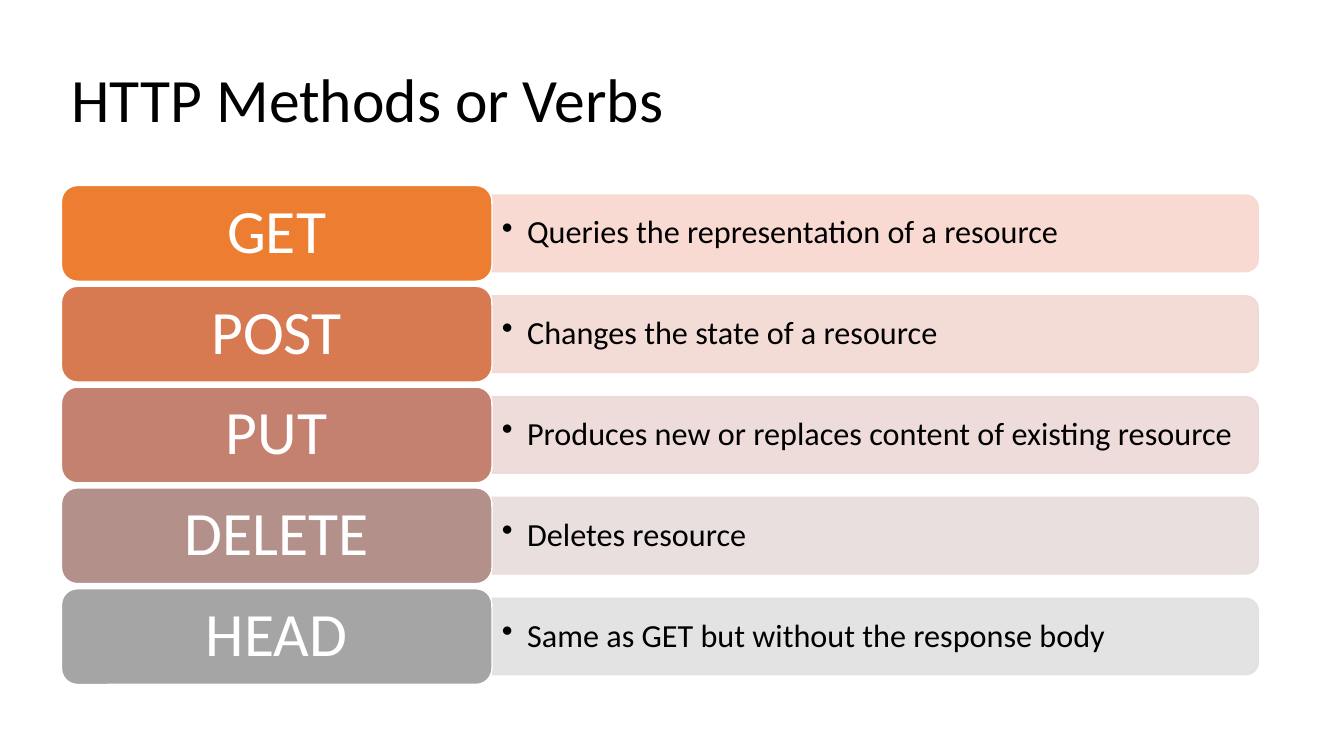
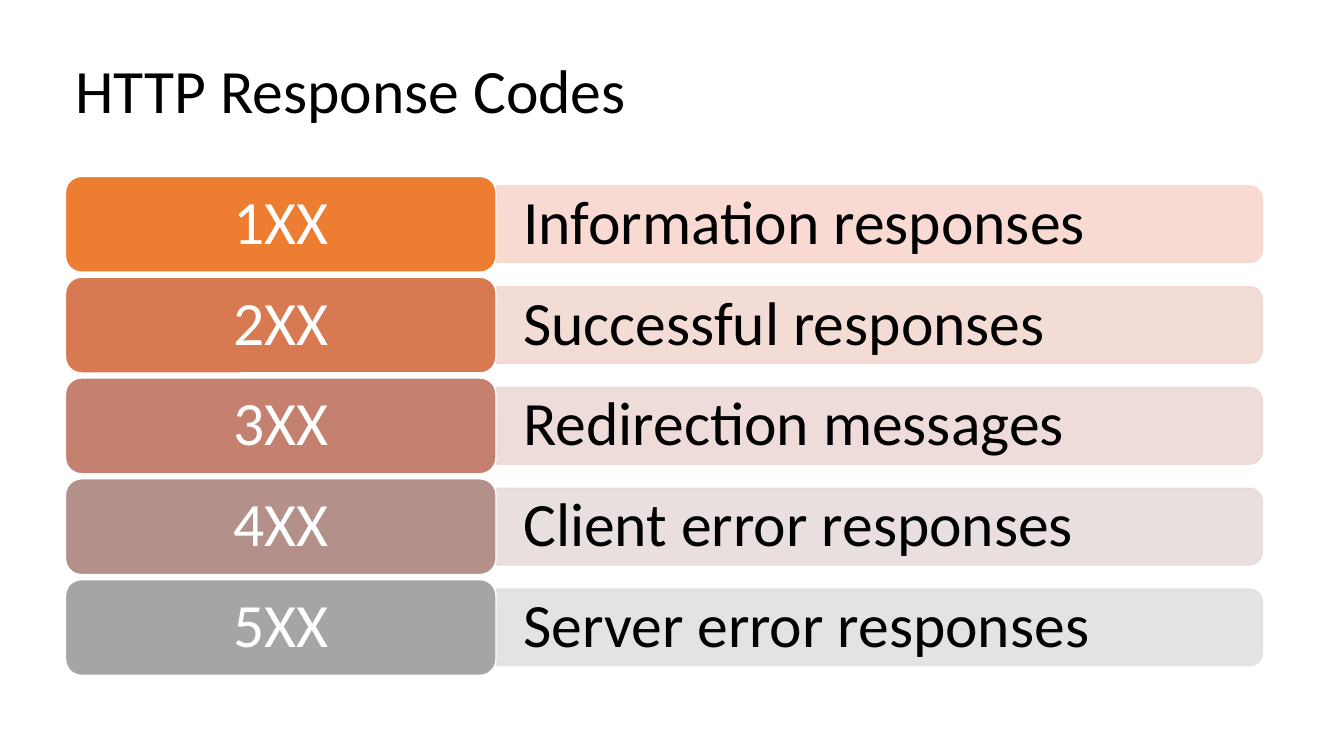
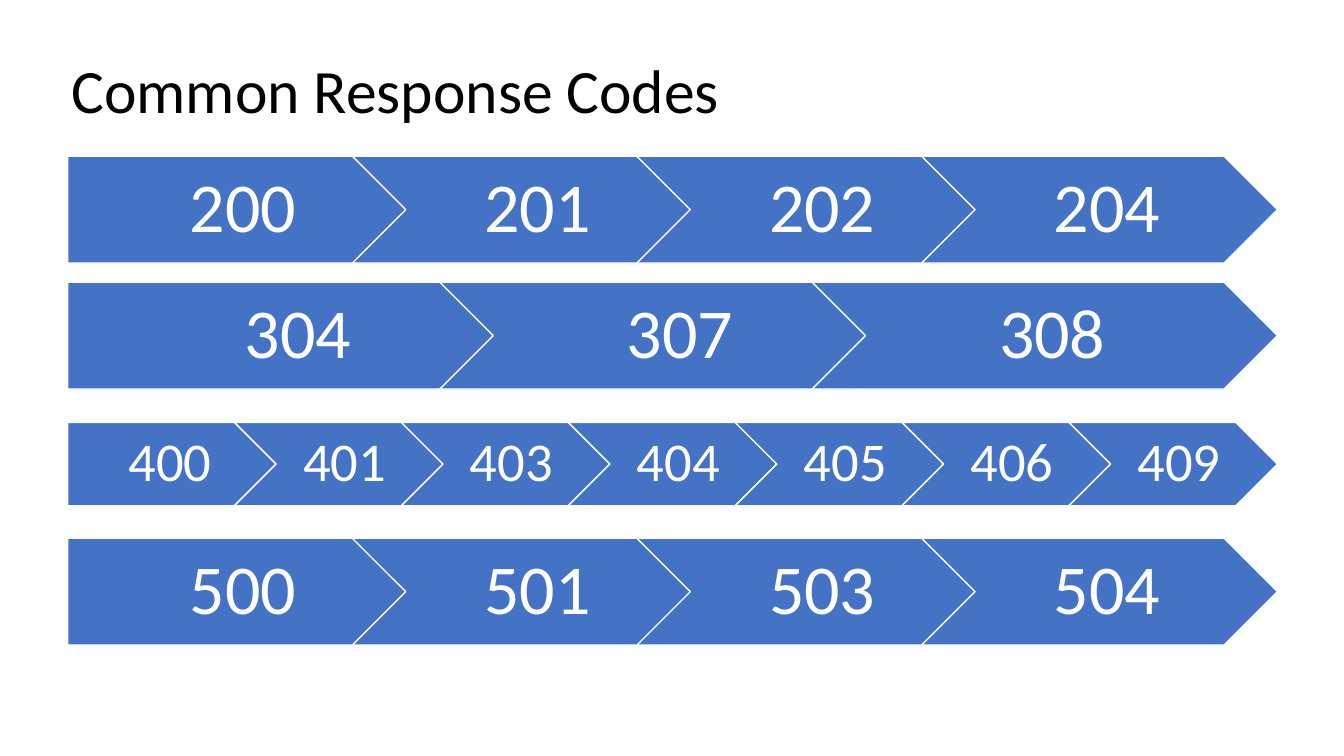
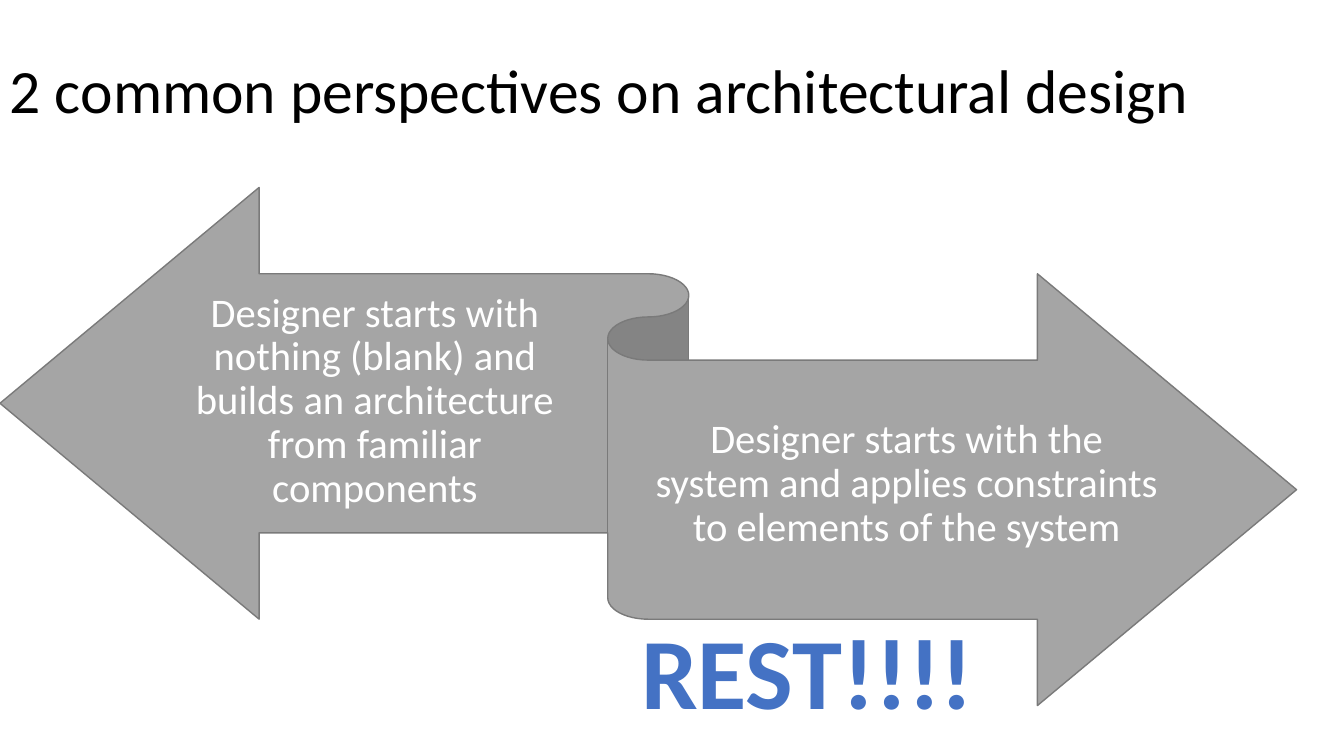
"""Build four slides on HTTP methods, response codes and design perspectives."""
import pptx
import pptx.dml.color
import pptx.enum.shapes
import pptx.enum.text
import pptx.oxml.ns
import pptx.oxml.xmlchemy
import pptx.util

Inches = pptx.util.Inches
MSO = pptx.enum.shapes.MSO_SHAPE
ANCHOR = pptx.enum.text.MSO_ANCHOR
ALIGN = pptx.enum.text.PP_ALIGN

BLACK, WHITE, BLUE, GRAY, GRAY_EDGE = "000000", "FFFFFF", "4472C4", "A5A5A5", "7A7A7A"
ROW_COLORS = [("ED7D31", "F8D7CE"), ("D87A51", "F2D8D2"), ("C48170", "EDD9D7"),
              ("B4908B", "E7DCDC"), (GRAY, "E1E1E1")]
DEFAULT_INSETS = (0.1, 0.05, 0.1, 0.05)

METHODS = [
    ("GET", "Queries the representation of a resource"),
    ("POST", "Changes the state of a resource"),
    ("PUT", "Produces new or replaces content of existing resource"),
    ("DELETE", "Deletes resource"),
    ("HEAD", "Same as GET but without the response body"),
]
CODE_CLASSES = [
    ("1XX", "Information responses"),
    ("2XX", "Successful responses"),
    ("3XX", "Redirection messages"),
    ("4XX", "Client error responses"),
    ("5XX", "Server error responses"),
]
CODE_ROWS = [
    (1.55, 50, ["200", "201", "202", "204"]),
    (2.8, 50, ["304", "307", "308"]),
    (4.19, 39, ["400", "401", "403", "404", "405", "406", "409"]),
    (5.34, 50, ["500", "501", "503", "504"]),
]


def rgb(value):
    return pptx.dml.color.RGBColor.from_string(value)


def set_attrs(obj, values):
    for name, value in values.items():
        setattr(obj, name, value)


def write(sp, text, size, color, align=ALIGN.LEFT, insets=DEFAULT_INSETS, wrap=True,
          anchor=ANCHOR.MIDDLE, spacing=0.9, bold=False):
    tf = sp.text_frame
    margins = zip(("margin_left", "margin_top", "margin_right", "margin_bottom"), insets)
    set_attrs(tf, {"word_wrap": wrap, "vertical_anchor": anchor,
                   **{name: Inches(v) for name, v in margins}})
    p = tf.paragraphs[0]
    set_attrs(p, {"alignment": align, "line_spacing": spacing})
    r = p.add_run()
    r.text = text
    set_attrs(r.font, {"name": "Calibri", "size": pptx.util.Pt(size), "bold": bold})
    r.font.color.rgb = rgb(color)
    return p


def add_text(s, box, text, size, color, **fmt):
    sp = s.shapes.add_textbox(*map(Inches, box))
    return write(sp, text, size, color, **fmt)


def add_shape(s, kind, box, fill, line=WHITE):
    sp = s.shapes.add_shape(kind, *map(Inches, box))
    sp.shadow.inherit = False
    sp.fill.solid()
    sp.fill.fore_color.rgb = rgb(fill)
    sp.line.color.rgb = rgb(line)
    sp.line.width = pptx.util.Pt(1)
    return sp


def set_opacity(sp, percent):
    for clr in sp.element.spPr.iter(pptx.oxml.ns.qn("a:srgbClr")):
        alpha = pptx.oxml.xmlchemy.OxmlElement("a:alpha")
        alpha.set("val", str(percent * 1000))
        clr.append(alpha)


def add_bullet(p, indent):
    pPr = p._p.get_or_add_pPr()
    pPr.set("marL", str(Inches(indent)))
    pPr.set("indent", str(-Inches(indent)))
    bu = pptx.oxml.xmlchemy.OxmlElement("a:buChar")
    bu.set("char", "•")
    pPr.append(bu)


def add_slide(prs, title, x, y=0.3, w=12):
    s = prs.slides.add_slide(prs.slide_layouts[6])
    add_text(s, (x, y, w, 1.25), title, 44, BLACK)
    return s


def add_rows(s, x, y, rows, size, insets, bullet=False):
    label_w, label_h, bar_w, bar_h, pitch = 4.27, 0.95, 7.6, 0.76, 1
    bar_x = x + label_w
    for i, ((label, text), (dark, light)) in enumerate(zip(rows, ROW_COLORS)):
        top = y + i * pitch
        mid = top + label_h / 2
        bar = add_shape(s, MSO.ROUND_2_SAME_RECTANGLE,
                        (bar_x + (bar_w - bar_h) / 2, mid - bar_w / 2, bar_h, bar_w),
                        light, light)
        bar.rotation = 90
        set_opacity(bar, 90)
        p = add_text(s, (bar_x, mid - 0.345, 7.56, 0.69), text, size, BLACK, insets=insets)
        if bullet:
            add_bullet(p, 0.25)
        sp = add_shape(s, MSO.ROUNDED_RECTANGLE, (x, top, label_w, label_h), dark)
        write(sp, label, 44, WHITE, ALIGN.CENTER, (0.18, 0.09, 0.18, 0.09))


def add_chevrons(s, y, size, codes, x=0.67, total=12):
    w = total / (1 + 0.8 * (len(codes) - 1))
    h = min(1.06, 0.4 * w)
    for i, code in enumerate(codes):
        kind, left = (MSO.CHEVRON, 0.0044) if i else (MSO.PENTAGON, 0.0058)
        sp = add_shape(s, kind, (x + i * 0.8 * w, y, w, h), BLUE)
        insets = [size * k for k in (left, 0.003, 0.0014, 0.003)]
        write(sp, code, size, WHITE, ALIGN.CENTER, insets)


def add_ribbon(s):
    add_shape(s, MSO.LEFT_RIGHT_RIBBON, (0, 1.86, 12.86, 5.14), GRAY, GRAY_EDGE)
    for box, text in [
        ((1.6, 2.73, 4.24, 2.52), "Designer starts with nothing (blank) and builds "
                                  "an architecture from familiar components"),
        ((6.49, 3.55, 5.01, 2.52), "Designer starts with the system and applies "
                                   "constraints to elements of the system"),
    ]:
        add_text(s, box, text, 29, WHITE, align=ALIGN.CENTER, insets=(0, 0.11, 0, 0.12))


def main():
    prs = pptx.Presentation()
    set_attrs(prs, {"slide_width": Inches(13.33), "slide_height": Inches(7.5)})

    s = add_slide(prs, "HTTP Methods or Verbs", 0.61, 0.39)
    add_rows(s, 0.61, 1.84, METHODS, 23, DEFAULT_INSETS, bullet=True)

    s = add_slide(prs, "HTTP Response Codes", 0.65)
    add_rows(s, 0.65, 1.75, CODE_CLASSES, 44, (0.27, 0.14, 0.27, 0.14))

    s = add_slide(prs, "Common Response Codes", 0.61, w=12.08)
    for row in CODE_ROWS:
        add_chevrons(s, *row)

    s = add_slide(prs, "2 common perspectives on architectural design", 0)
    add_ribbon(s)
    add_text(s, (6.26, 5.99, 3.54, 1.31), "REST!!!!", 72, BLUE, wrap=False,
             anchor=ANCHOR.TOP, spacing=1.0, bold=True)

    prs.save("out.pptx")


if __name__ == "__main__":
    main()
